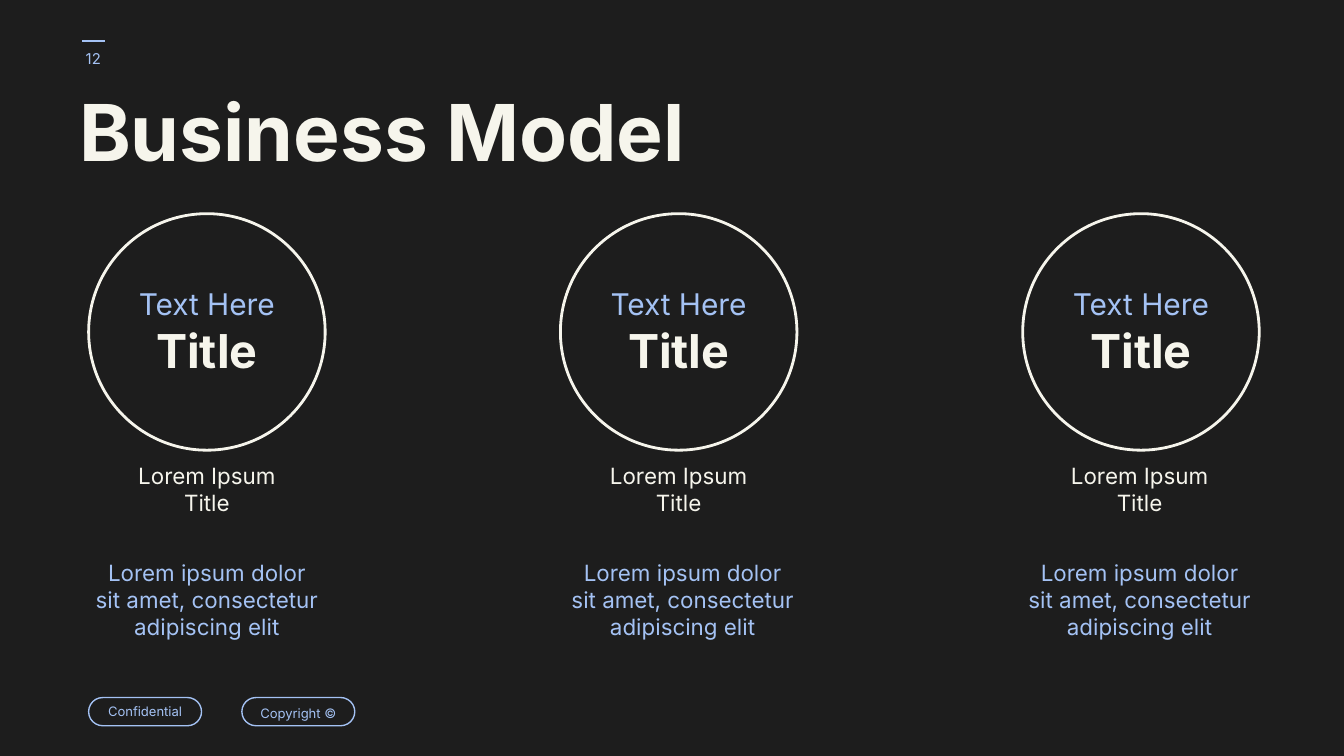
from dataclasses import dataclass, replace
from lxml.etree import SubElement
from pptx import Presentation
from pptx.dml.color import RGBColor as Rgb
from pptx.enum.shapes import MSO_CONNECTOR as Link, MSO_SHAPE as Kind
from pptx.enum.text import MSO_ANCHOR as Anchor, PP_ALIGN as Align
from pptx.oxml.ns import qn
from pptx.util import Inches, Pt


@dataclass(frozen=True)
class Theme:
    back: Rgb = Rgb(0x1D, 0x1D, 0x1D)
    cream: Rgb = Rgb(0xF6, 0xF5, 0xEC)
    blue: Rgb = Rgb(0xA4, 0xC2, 0xF4)
    face: str = "Inter"
    tag: int = 7
    page: int = 8
    text: int = 12
    lead: int = 16
    name: int = 25
    title: int = 42
    thin: float = 0.75
    thick: float = 1.5


@dataclass(frozen=True)
class Box:
    """Place and size in grid columns and rows."""
    col: float
    row: float
    wide: float
    high: float


@dataclass(frozen=True)
class Run:
    text: str
    size: int
    color: Rgb
    bold: bool = False


@dataclass(frozen=True)
class Step:
    """Left columns of one circle and the two texts below it."""
    ring: float
    head: float
    body: float


look = Theme()
COLS, ROWS = 100, 56.25
deck = Presentation()
deck.slide_width, deck.slide_height = Inches(10), Inches(5.625)
CELL = deck.slide_width / COLS
slide = deck.slides.add_slide(deck.slide_layouts[6])


def grid(*cells: float) -> list[int]:
    return [round(cell * CELL) for cell in cells]


def place(box: Box) -> list[int]:
    return grid(box.col, box.row, box.wide, box.high)


def assign(item, values: dict) -> None:
    for key, value in values.items():
        setattr(item, key, value)


def write(shape, runs: list[Run], align=Align.CENTER,
          anchor=Anchor.TOP, space: float = 1.0) -> None:
    """Fill one paragraph, with a line break between runs."""
    frame = shape.text_frame
    sides = ("left", "top", "right", "bottom")
    pad = {f"margin_{side}": Inches(0.1) for side in sides}
    assign(frame, {"word_wrap": True, "vertical_anchor": anchor, **pad})
    para = frame.paragraphs[0]
    assign(para, {"alignment": align, "line_spacing": space})
    for spot, run in enumerate(runs):
        if spot:
            para.add_line_break()
        part = para.add_run()
        part.text = run.text
        assign(part.font, {"name": look.face, "size": Pt(run.size),
                           "bold": run.bold})
        part.font.color.rgb = run.color


def label(box: Box, run: Run, **form) -> None:
    write(slide.shapes.add_textbox(*place(box)), [run], **form)


def pill(box: Box, runs: list[Run], color: Rgb, width: float,
         space: float = 1.0) -> None:
    """Draw an outline with fully round ends and centred text."""
    shape = slide.shapes.add_shape(Kind.ROUNDED_RECTANGLE, *place(box))
    shape.adjustments[0] = 0.5
    shape.shadow.inherit = False
    shape.fill.background()
    shape.line.color.rgb = color
    shape.line.width = Pt(width)
    write(shape, runs, anchor=Anchor.MIDDLE, space=space)


def dash(left: float, right: float, row: float) -> None:
    line = slide.shapes.add_connector(Link.STRAIGHT,
                                      *grid(left, row, right, row))
    line.line.color.rgb = look.blue
    line.line.width = Pt(look.thin)
    SubElement(line._element.spPr, qn("a:effectLst"))


def column(step: Step) -> None:
    """Draw a circle with its heading and description."""
    head = Run("Lorem Ipsum Title", look.text, look.cream)
    body = replace(head, color=look.blue,
                   text="Lorem ipsum dolor sit amet, consectetur adipiscing elit")
    label(Box(step.head, 33.4, 16, 7.3), head)
    label(Box(step.body, 40.6, 18.6, 9.6), body)
    pill(Box(step.ring, 15.9, 17.6, 17.6),
         [Run("Text Here", look.lead, look.blue),
          Run("Title", look.name, look.cream, True)],
         look.cream, look.thick)


def main() -> None:
    fill = slide.background.fill
    fill.solid()
    fill.fore_color.rgb = look.back

    label(Box(4.6, 2.2, 4.7, 4.3), Run("12", look.page, look.blue),
          anchor=Anchor.MIDDLE)
    dash(6.1, 7.8, 3.05)
    label(Box(4.9, 6.5, 74, 9.1),
          Run("Business Model", look.title, look.cream, True),
          align=Align.LEFT, space=0.8)

    for step in (Step(6.6, 7.4, 6.1), Step(41.7, 42.5, 41.5),
                 Step(76.1, 76.8, 75.5)):
        column(step)

    tags = (("Confidential", 1.0), ("Copyright ©", 1.15))
    for spot, (text, space) in enumerate(tags):
        pill(Box(6.6 + spot * 11.4, 51.9, 8.4, 2.1),
             [Run(text, look.tag, look.blue)], look.blue, look.thin, space)

    deck.save("out.pptx")


if __name__ == "__main__":
    main()
